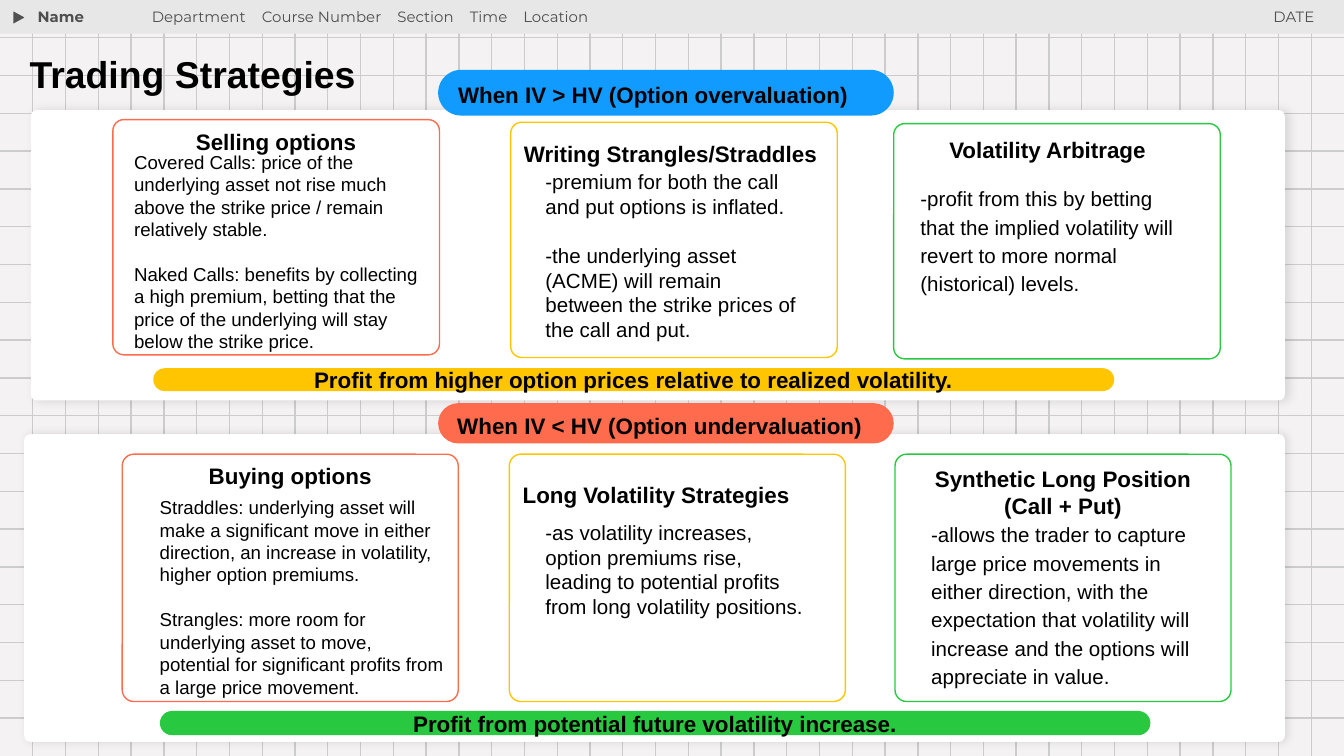
from lxml import etree
from pptx import Presentation
from pptx import util as u
from pptx.dml.color import RGBColor
from pptx.enum import shapes, text
from pptx.oxml import ns

COLORS = {
    "background": "F4F2F2", "grid": "CCCCCC", "bar": "E7E7E7", "grey": "4F4F4F",
    "white": "FFFFFF", "black": "000000", "blue": "119BFE",
    "yellow": "FFC600", "green": "28C840", "orange": "FF6B4D",
}
WIDTH, HEIGHT = 10, 10 * 9 / 16
LEFT, CENTER, RIGHT = text.PP_ALIGN.LEFT, text.PP_ALIGN.CENTER, text.PP_ALIGN.RIGHT
GROW, FIXED = text.MSO_AUTO_SIZE.SHAPE_TO_FIT_TEXT, text.MSO_AUTO_SIZE.NONE
ROUNDED = shapes.MSO_SHAPE.ROUNDED_RECTANGLE
HEADING = {"size": u.Pt(12), "bold": True}
LOOSE = {"line_spacing": 1.15}
SPACED = {"line_spacing": 1.15, "alignment": LEFT}

SECTIONS = [
    {
        "box": (0.23, 0.82, 9.33, 2.16),
        "card_size": (2.43, 1.75),
        "banner": ("When IV > HV (Option overvaluation)", "blue", (3.03, -0.3, 3.39, 0.34)),
        "summary": ("Profit from higher option prices relative to realized volatility.",
                    "yellow", (0.91, 1.92, 7.15, 0.17)),
        "cards": [
            ("orange", (0.61, 0.07),
             ("Selling options", (0, -0.04, 2.43, 0.4), {"alignment": CENTER}),
             (["Covered Calls: price of the underlying asset not rise much above the "
               "strike price / remain relatively stable.",
               "Naked Calls: benefits by collecting a high premium, betting that the "
               "price of the underlying will stay below the strike price."],
              (0.06, 0.13, 2.36, 2.02), 10, {}, 12)),
            ("yellow", (3.57, 0.09),
             ("Writing Strangles/Straddles", (0, 0, 2.85, 0.4), SPACED),
             (["-premium for both the call and put options is inflated.",
               "-the underlying asset (ACME) will remain between the strike prices "
               "of the call and put."],
              (0.16, 0.25, 2.09, 1.5), 11, {}, 13)),
            ("green", (6.42, 0.1),
             ("Volatility Arbitrage", (-0.07, -0.01, 2.43, 0.4), {"alignment": CENTER}),
             (["-profit from this by betting that the implied volatility will revert "
               "to more normal (historical) levels."],
              (0.1, 0.34, 2.09, 1.34), 11, LOOSE, 0)),
        ],
    },
    {
        "box": (0.18, 3.23, 9.38, 2.29),
        "card_size": (2.5, 1.84),
        "banner": ("When IV < HV (Option undervaluation)", "orange", (3.08, -0.23, 3.39, 0.3)),
        "summary": ("Profit from potential future volatility increase.",
                    "green", (1.01, 2.06, 7.37, 0.18)),
        "cards": [
            ("orange", (0.73, 0.15),
             ("Buying options", (0, -0.04, 2.5, 0.4), {"alignment": CENTER}),
             (["Straddles: underlying asset will make a significant move in either "
               "direction, an increase in volatility, higher option premiums.",
               "Strangles: more room for underlying asset to move, potential for "
               "significant profits from a large price movement."],
              (0.18, 0.21, 2.32, 2.05), 10, {}, 12)),
            ("yellow", (3.61, 0.15),
             ("Long Volatility Strategies", (0, 0.07, 2.59, 0.4), SPACED),
             (["-as volatility increases, option premiums rise, leading to potential "
               "profits from long volatility positions."],
              (0.17, 0.39, 2.15, 0.94), 11, {}, 0)),
            ("green", (6.48, 0.15),
             ("Synthetic Long Position (Call + Put)", (0, -0.02, 2.5, 0.61),
              {"alignment": CENTER}),
             (["-allows the trader to capture large price movements in either "
               "direction, with the expectation that volatility will increase and "
               "the options will appreciate in value."],
              (0.17, 0.38, 2.15, 1.77), 11, LOOSE, 0)),
        ],
    },
]


def color(name):
    return RGBColor.from_string(COLORS[name])


def apply(target, values):
    for name, value in values.items():
        setattr(target, name, value)


def inches(box):
    return [u.Inches(value) for value in box]


def within(box, part):
    return (box[0] + part[0], box[1] + part[1], *part[2:])


def add_span(para, words, font, ink):
    span = para.add_run()
    span.text = words
    apply(span.font, {"name": "Arial", **font})
    span.font.color.rgb = color(ink)
    return span


def fill_text(shape, lines, font, para_format=None, gap=0, ink="black",
              anchor=text.MSO_ANCHOR.TOP, fit=GROW):
    frame = shape.text_frame
    inset = u.Inches(0.1)
    apply(frame, {"word_wrap": True, "vertical_anchor": anchor, "auto_size": fit,
                  "margin_left": inset, "margin_right": inset,
                  "margin_top": inset, "margin_bottom": inset})
    for index, line in enumerate(lines):
        para = frame.paragraphs[0] if index == 0 else frame.add_paragraph()
        apply(para, {"alignment": LEFT, "line_spacing": 1.0,
                     "space_before": u.Pt(gap if index else 0), **(para_format or {})})
        if shape.is_placeholder:
            properties = para._p.get_or_add_pPr()
            properties.attrib.update({"marL": "0", "indent": "0"})
            etree.SubElement(properties, ns.qn("a:buNone"))
        for number, words in enumerate(line.split("\t")):
            if number:
                space = add_span(para, " ", font, ink)
                space._r.get_or_add_rPr().set("spc", "640")
            add_span(para, words, font, ink)


def add_block(page, kind, box, fill, line=None, rounding=None):
    shape = page.shapes.add_shape(kind, *inches(box))
    shape.shadow.inherit = False
    shape.fill.solid()
    shape.fill.fore_color.rgb = color(fill)
    if line:
        shape.line.color.rgb = color(line)
        shape.line.width = u.Pt(0.75)
    else:
        shape.line.fill.background()
    if rounding is not None:
        shape.adjustments[0] = rounding
    return shape


def place(holder, box):
    apply(holder, dict(zip(("left", "top", "width", "height"), inches(box))))
    holder.element.getparent().append(holder.element)


def draw_grid(page, box):
    left, top, width, height = box
    row_gap, column_gap = height / 20, width / 41
    rows = [(left, top + row_gap * n, left + width, top + row_gap * n) for n in range(1, 20)]
    columns = [(left + column_gap * n, top, left + column_gap * n, top + height)
               for n in range(1, 41)]
    for ends in rows + columns:
        line = page.shapes.add_connector(shapes.MSO_CONNECTOR.STRAIGHT, *inches(ends))
        line.line.color.rgb = color("grid")
        line.line.width = u.Pt(0.75)
        etree.SubElement(line.element.spPr, ns.qn("a:effectLst"))


def draw_top_bar(page, box):
    add_block(page, shapes.MSO_SHAPE.RECTANGLE, box, "bar")
    marker = add_block(page, shapes.MSO_SHAPE.ISOSCELES_TRIANGLE,
                       within(box, (0.1, 0.08, 0.11, 0.1)), "grey", "bar")
    marker.rotation = 90
    details = "\t".join(["Department", "Course Number", "Section", "Time", "Location"])
    entries = [
        (1, "Name", (0.19, -0.04, 1.28, 0.34), True, LEFT),
        (2, details, (1.04, -0.04, 4.17, 0.47), False, LEFT),
        (3, "DATE", (8.22, -0.04, 1.67, 0.47), False, RIGHT),
    ]
    for index, words, part, bold, alignment in entries:
        holder = page.placeholders[index]
        place(holder, within(box, part))
        font = {"name": "Montserrat", "size": u.Pt(8), "bold": bold}
        fill_text(holder, [words], font, {"alignment": alignment}, ink="grey")


def draw_title(page, box):
    place(page.shapes.title, box)
    fill_text(page.shapes.title, ["Trading Strategies"],
              {"size": u.Pt(20), "bold": True}, {"line_spacing": 0.9})


def draw_panel(page, box):
    panel = add_block(page, ROUNDED, box, "white", rounding=0.02)
    effects = panel.element.spPr.find(ns.qn("a:effectLst"))
    shadow = etree.SubElement(effects, ns.qn("a:outerShdw"), blurRad=str(u.Pt(4.5)),
                              dist=str(u.Pt(1.5)), dir="0", algn="bl", rotWithShape="0")
    tint = etree.SubElement(shadow, ns.qn("a:srgbClr"), val=COLORS["black"])
    etree.SubElement(tint, ns.qn("a:alpha"), val="11000")


def draw_card(page, box, outline, heading, body):
    add_block(page, ROUNDED, box, "white", outline, 0.047)
    words, part, para_format = heading
    title = page.shapes.add_textbox(*inches(within(box, part)))
    fill_text(title, [words], HEADING, para_format)
    lines, part, size, para_format, gap = body
    detail = page.shapes.add_textbox(*inches(within(box, part)))
    fill_text(detail, lines, {"size": u.Pt(size)}, para_format, gap)


def draw_pill(page, box, words, fill, para_format):
    pill = add_block(page, ROUNDED, box, fill, rounding=0.5)
    fill_text(pill, [words], HEADING, para_format,
              anchor=text.MSO_ANCHOR.MIDDLE, fit=FIXED)


def draw_section(page, box, section):
    draw_panel(page, box)
    for outline, corner, heading, body in section["cards"]:
        draw_card(page, within(box, (*corner, *section["card_size"])), outline, heading, body)
    for key, para_format in (("summary", {"alignment": CENTER}), ("banner", SPACED)):
        words, fill, part = section[key]
        draw_pill(page, within(box, part), words, fill, para_format)


def main():
    deck = Presentation()
    deck.slide_width, deck.slide_height = inches((WIDTH, HEIGHT))
    page = deck.slides.add_slide(deck.slide_layouts[4])
    spare = page.placeholders[4].element
    spare.getparent().remove(spare)
    page.background.fill.solid()
    page.background.fill.fore_color.rgb = color("background")
    draw_grid(page, (0, 0, WIDTH, HEIGHT))
    draw_top_bar(page, (-0.01, 0, 10.01, 0.25))
    draw_title(page, (0.12, 0.32, 8.26, 0.5))
    for section in SECTIONS:
        draw_section(page, section["box"], section)
    deck.save("out.pptx")


if __name__ == "__main__":
    main()
